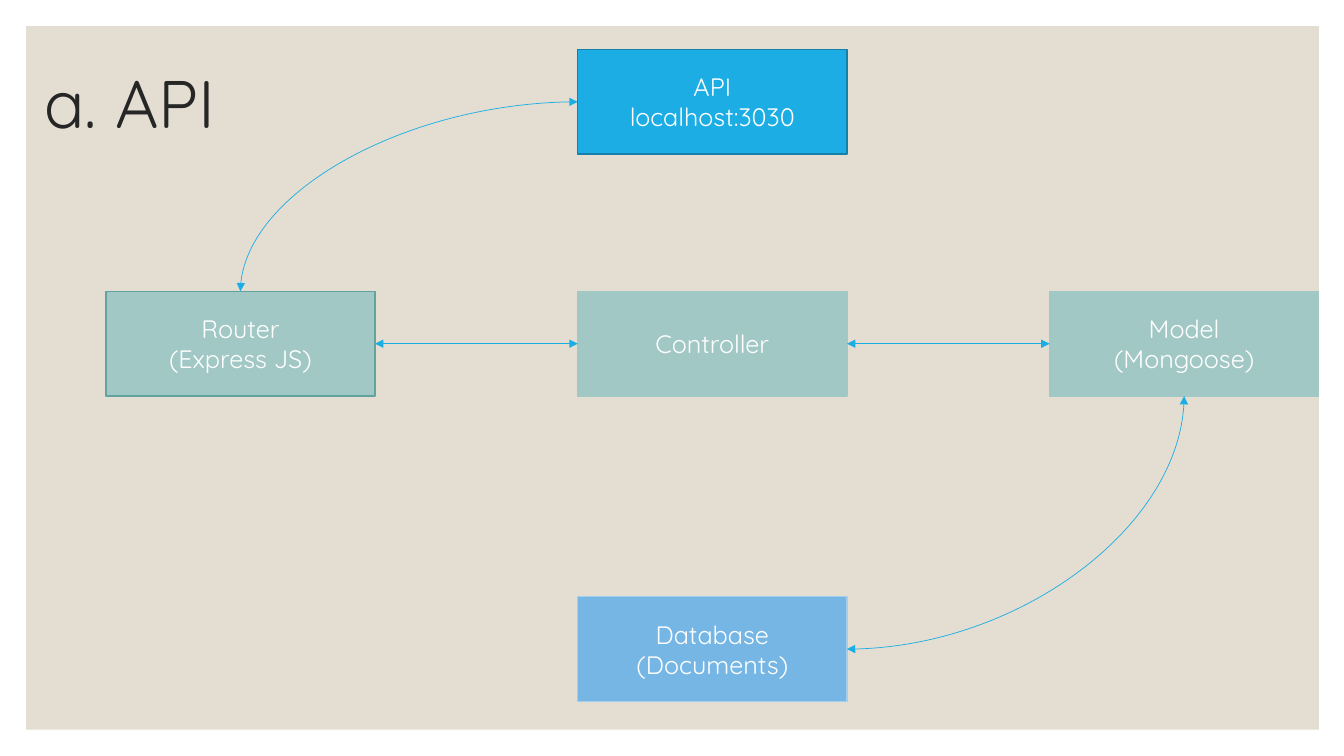
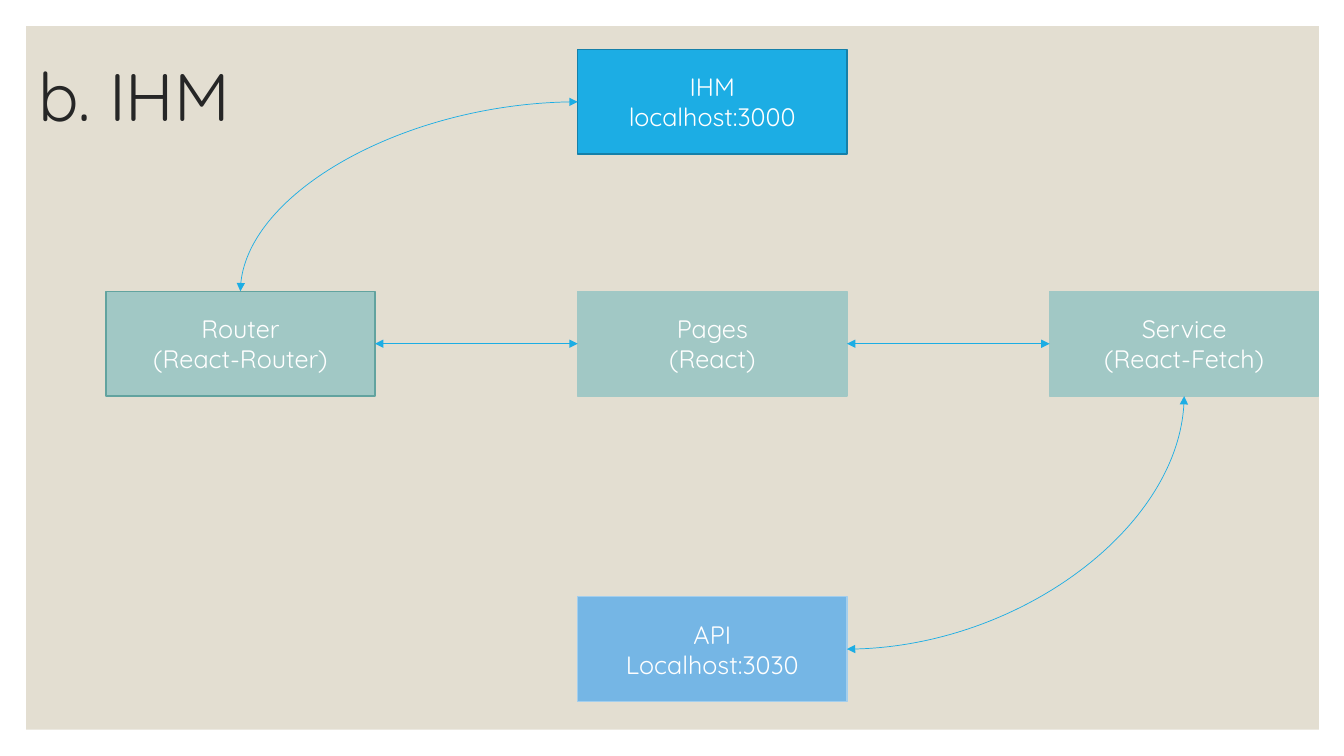
from pptx import Presentation
from pptx.dml.color import RGBColor
from pptx.enum.shapes import MSO_CONNECTOR, MSO_SHAPE
from pptx.enum.text import MSO_ANCHOR, PP_ALIGN
from pptx.oxml.ns import qn
from pptx.util import Inches, Pt
from lxml.etree import SubElement

# Shared style
FONT = "Quicksand"
WHITE = RGBColor(0xFF, 0xFF, 0xFF)
SAND = RGBColor(0xE3, 0xDE, 0xD1)
INK = RGBColor(0x26, 0x26, 0x26)
BLUE = RGBColor(0x1C, 0xAD, 0xE4)
NAVY = RGBColor(0x15, 0x80, 0xA9)
SAGE = RGBColor(0xA1, 0xC8, 0xC5)
TEAL = RGBColor(0x62, 0xA3, 0x9F)
SKY = RGBColor(0x75, 0xB6, 0xE5)
PALE = RGBColor(0xA3, 0xCE, 0xED)

# Grid of boxes: three columns at equal steps, three rows
BOX_W, BOX_H = 2.67, 1.04
COLS = [1.05 + 4.68 * i for i in range(3)]
ROWS = [0.49, 2.89, 5.92]

# Column, row, fill and edge of each box
NODES = [
    (1, 0, BLUE, NAVY),
    (0, 1, SAGE, TEAL),
    (1, 1, SAGE, SAGE),
    (2, 1, SAGE, SAGE),
    (1, 2, SKY, PALE),
]

# Connection sites of a rectangle
TOP, LEFT, BOTTOM, RIGHT = range(4)

# Start box, its site, end box, its site, curved or not
LINKS = [
    (0, LEFT, 1, TOP, True),
    (4, RIGHT, 3, BOTTOM, True),
    (2, RIGHT, 3, LEFT, False),
    (1, RIGHT, 2, LEFT, False),
]

# Title, title place, then the lines of each box
SLIDES = [
    ("a. API", (0.34, 0.31), [
        ["API", "localhost:3030"],
        ["Router", "(Express JS)"],
        ["Controller"],
        ["Model", "(Mongoose)"],
        ["Database", "(Documents)"],
    ]),
    ("b. IHM", (0.28, 0.24), [
        ["IHM", "localhost:3000"],
        ["Router", "(React-Router)"],
        ["Pages", "(React)"],
        ["Service", "(React-Fetch)"],
        ["API", "Localhost:3030"],
    ]),
]


def add_text(frame, lines, size, color, align, spacing=1.0):
    frame.word_wrap = True
    frame.vertical_anchor = MSO_ANCHOR.MIDDLE
    for i, line in enumerate(lines):
        para = frame.add_paragraph() if i else frame.paragraphs[0]
        para.alignment = align
        para.line_spacing = spacing
        run = para.add_run()
        run.text = line
        run.font.name = FONT
        run.font.size = Pt(size)
        run.font.color.rgb = color


def add_rect(slide, left, top, width, height, fill, edge=None):
    rect = slide.shapes.add_shape(
        MSO_SHAPE.RECTANGLE, Inches(left), Inches(top), Inches(width), Inches(height))
    rect.shadow.inherit = False
    rect.fill.solid()
    rect.fill.fore_color.rgb = fill
    if edge is None:
        rect.line.fill.background()
    else:
        rect.line.color.rgb = edge
        rect.line.width = Pt(1)
    return rect


def add_title(slide, text, left, top):
    box = slide.shapes.add_textbox(Inches(left), Inches(top), Inches(11), Inches(1.5))
    add_text(box.text_frame, [text], 48, INK, PP_ALIGN.LEFT, 0.9)


def add_node(slide, col, row, fill, edge, lines):
    node = add_rect(slide, COLS[col], ROWS[row], BOX_W, BOX_H, fill, edge)
    add_text(node.text_frame, lines, 18, WHITE, PP_ALIGN.CENTER)
    return node


def add_link(slide, start, out, end, into, curved):
    kind = MSO_CONNECTOR.CURVE if curved else MSO_CONNECTOR.STRAIGHT
    link = slide.shapes.add_connector(kind, 0, 0, 0, 0)
    link.begin_connect(start, out)
    link.end_connect(end, into)
    link.line.color.rgb = BLUE
    link.line.width = Pt(0.5)
    props = link._element.spPr
    # A quarter bend leaves sideways and arrives upright
    if curved:
        props.find(qn("a:prstGeom")).set("prst", "curvedConnector2")
    for tag in ("a:headEnd", "a:tailEnd"):
        SubElement(props.find(qn("a:ln")), qn(tag), type="triangle")
    SubElement(props, qn("a:effectLst"))


def add_diagram(deck, title, place, texts):
    slide = deck.slides.add_slide(deck.slide_layouts[6])
    # Background panel and title
    add_rect(slide, 0.26, 0.26, 12.82, 6.98, SAND)
    add_title(slide, title, *place)
    # Boxes, then the arrows between them
    nodes = [add_node(slide, *node, lines) for node, lines in zip(NODES, texts)]
    for start, out, end, into, curved in LINKS:
        add_link(slide, nodes[start], out, nodes[end], into, curved)


def main():
    deck = Presentation()
    deck.slide_width = Inches(13.33)
    deck.slide_height = Inches(7.5)
    for title, place, texts in SLIDES:
        add_diagram(deck, title, place, texts)
    deck.save("out.pptx")


if __name__ == "__main__":
    main()
